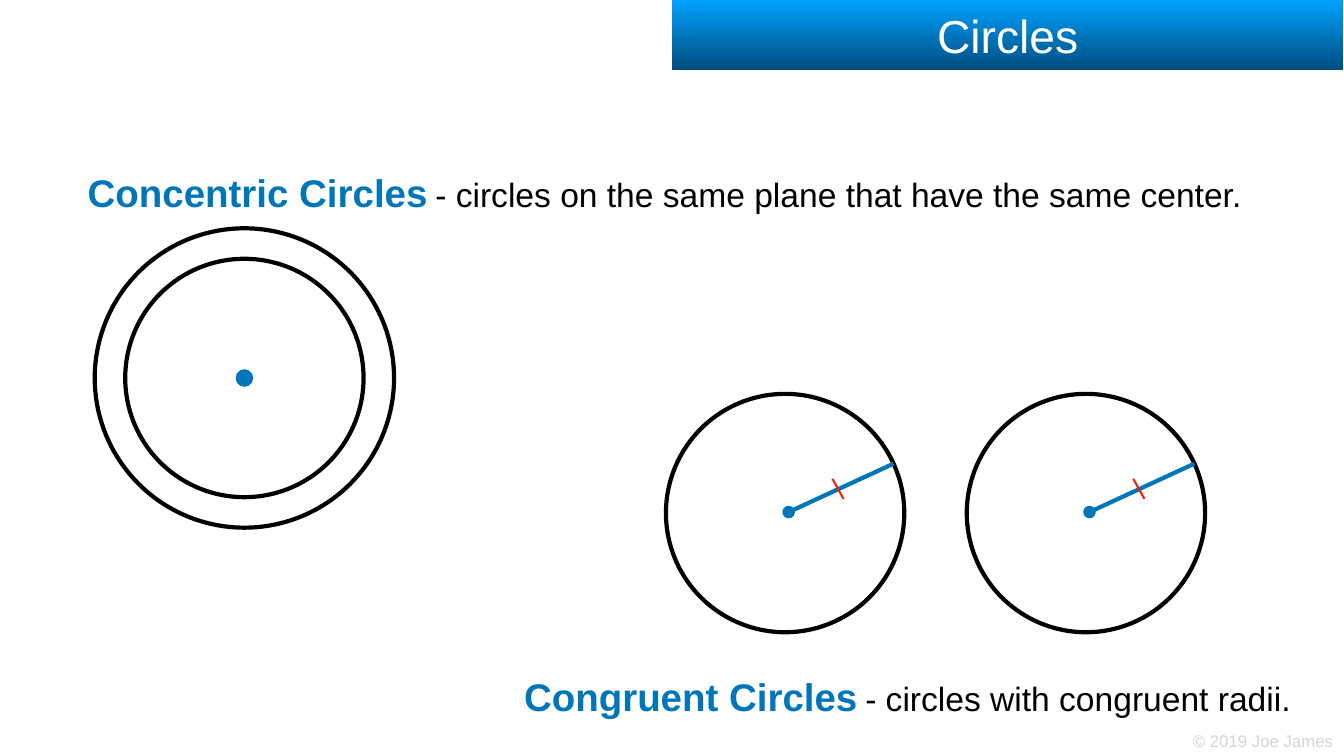
from lxml.etree import SubElement
from pptx import Presentation
from pptx.dml.color import RGBColor as Rgb
from pptx.enum.shapes import MSO_CONNECTOR as Conn, MSO_SHAPE as Shape
from pptx.enum.text import MSO_ANCHOR as Anchor, MSO_AUTO_SIZE as Auto, PP_ALIGN as Align
from pptx.oxml.ns import qn
from pptx.util import Inches, Pt

COLORS = {
    "black": "000000", "white": "FFFFFF", "blue": "0076BA", "red": "EE230C",
    "gray": "D5D5D5", "sky": "00A2FF", "navy": "004D80",
}


def color(name):
    return Rgb.from_string(COLORS[name])


def add_run(para, text, size, name, bold=False):
    run = para.add_run()
    run.text = text
    font = run.font
    font.name, font.size, font.bold = "Arial", Pt(size), bold
    font.color.rgb = color(name)


def set_frame(frame, anchor=Anchor.TOP, wrap=True):
    frame.margin_left = frame.margin_right = Inches(0.06)
    frame.margin_top = frame.margin_bottom = Inches(0.06)
    frame.vertical_anchor = anchor
    frame.word_wrap = wrap
    return frame.paragraphs[0]


def add_text(slide, box, **style):
    frame = slide.shapes.add_textbox(*map(Inches, box)).text_frame
    para = set_frame(frame, **style)
    frame.auto_size = Auto.SHAPE_TO_FIT_TEXT
    return para


def add_term(slide, box, term, gap, meaning):
    para = add_text(slide, box)
    para.line_spacing = 1.2
    add_run(para, term, 55, "blue", True)
    add_run(para, " ", 40, *gap)
    add_run(para, meaning, 48, "black")


def add_circle(slide, x, y, size, fill="white", line="black"):
    box = (x - size / 2, y - size / 2, size, size)
    circle = slide.shapes.add_shape(Shape.OVAL, *map(Inches, box))
    circle.shadow.inherit = False
    circle.fill.solid()
    circle.fill.fore_color.rgb = color(fill)
    if line:
        circle.line.color.rgb = color(line)
        circle.line.width = Pt(6)
    else:
        circle.line.fill.background()


def add_line(slide, ends, name, width, head=None):
    line = slide.shapes.add_connector(Conn.STRAIGHT, *map(Inches, ends))
    line.line.color.rgb = color(name)
    line.line.width = Pt(width)
    props = line._element.spPr
    if head:
        SubElement(props.find(qn("a:ln")), qn("a:headEnd"), type=head)
    SubElement(props, qn("a:effectLst"))


def add_radius(slide, x, y):
    add_circle(slide, x, y, 4.73)
    add_line(slide, (x + 0.07, y - 0.02, x + 2.15, y - 0.98), "blue", 6, "oval")
    add_line(slide, (x + 0.94, y - 0.68, x + 1.16, y - 0.28), "red", 3)


def add_title(slide, text):
    box = (13.33, 0, 13.33, 1.39)
    bar = slide.shapes.add_shape(Shape.RECTANGLE, *map(Inches, box))
    bar.shadow.inherit = False
    bar.line.fill.background()
    bar.fill.gradient()
    bar.fill.gradient_angle = 270
    for stop, name, pos in zip(bar.fill.gradient_stops, ("sky", "navy"), (0, 1)):
        stop.color.rgb = color(name)
        stop.position = pos
    para = set_frame(bar.text_frame, Anchor.MIDDLE)
    para.alignment = Align.CENTER
    add_run(para, text, 66, "white")


def main():
    deck = Presentation()
    deck.slide_width, deck.slide_height = Inches(26.67), Inches(15)
    slide = deck.slides.add_slide(deck.slide_layouts[6])

    credit = add_text(slide, (23.61, 14.45, 2.91, 0.49), anchor=Anchor.MIDDLE, wrap=False)
    add_run(credit, "© 2019 Joe James", 24, "gray")

    add_term(slide, (1.68, 3.12, 23.84, 1.03), "Concentric Circles",
             ("blue", True), "- circles on the same plane that have the same center.")
    for size in (5.94, 4.73):
        add_circle(slide, 4.85, 7.5, size)
    add_circle(slide, 4.85, 7.5, 0.35, "blue", None)

    add_term(slide, (10.34, 13.12, 16.03, 1.03), "Congruent Circles",
             ("black", False), "- circles with congruent radii.")
    for x in (15.58, 21.55):
        add_radius(slide, x, 10.18)

    add_title(slide, "Circles")
    deck.save("out.pptx")


if __name__ == "__main__":
    main()
